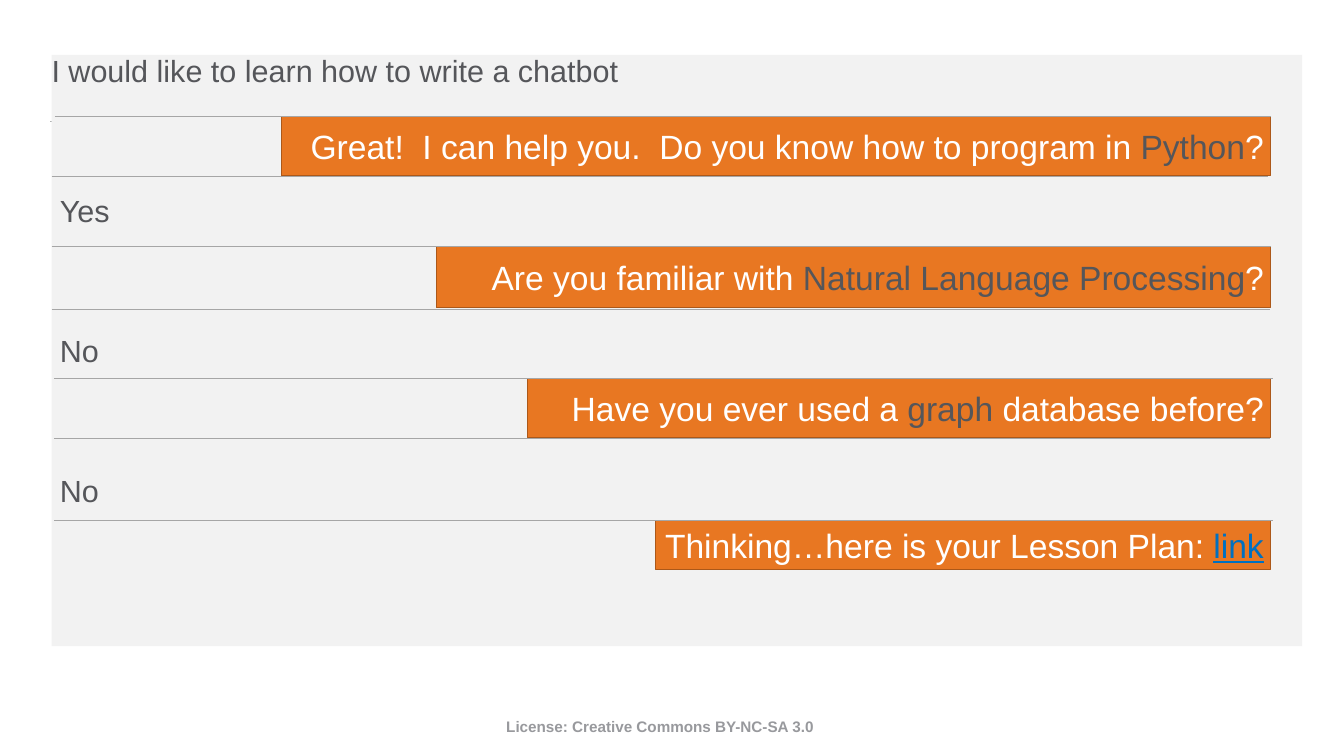
from pptx import Presentation
from pptx.dml.color import RGBColor
from pptx.enum.shapes import MSO_CONNECTOR, MSO_SHAPE
from pptx.enum.text import MSO_ANCHOR, MSO_AUTO_SIZE, PP_ALIGN
from pptx.oxml.ns import qn
from pptx.util import Inches, Pt

LINE, RECT = MSO_CONNECTOR.STRAIGHT, MSO_SHAPE.RECTANGLE
TOP, MIDDLE = MSO_ANCHOR.TOP, MSO_ANCHOR.MIDDLE
LEFT, CENTER, RIGHT = PP_ALIGN.LEFT, PP_ALIGN.CENTER, PP_ALIGN.RIGHT
FIXED = MSO_AUTO_SIZE.NONE

WHITE = RGBColor(0xFF, 0xFF, 0xFF)
PALE = RGBColor(0xF2, 0xF2, 0xF2)
DARK = RGBColor(0x55, 0x56, 0x5A)
ORANGE = RGBColor(0xE8, 0x77, 0x22)
BROWN = RGBColor(0xAC, 0x58, 0x19)
BLUE = RGBColor(0x00, 0x70, 0xC0)
SILVER = RGBColor(0xB1, 0xB3, 0xB3)
GREY = RGBColor(0xA6, 0xA6, 0xA6)
MUTED = RGBColor(0x98, 0x99, 0x9D)

prs = Presentation()
prs.slide_width, prs.slide_height = Inches(19.56), Inches(11)
slide = prs.slides.add_slide(prs.slide_layouts[1])
shapes = slide.shapes
title, body = slide.placeholders
title.element.getparent().remove(title.element)


def add_rule(x1, x2, y, color, width):
    rule = shapes.add_connector(LINE, Inches(x1), Inches(y), Inches(x2), Inches(y))
    rule.line.color.rgb = color
    rule.line.width = Pt(width)
    props = rule.element.spPr
    props.append(props.makeelement(qn("a:effectLst"), {}))


def set_font(para, size, color=None, bold=False):
    font = para.font
    font.name, font.size, font.bold = "Arial", Pt(size), bold
    if color is not None:
        font.color.rgb = color


# Header rule and license line
add_rule(0.73, 18.94, 1.77, SILVER, 1)
footer = shapes.add_textbox(Inches(5.75), Inches(10.39), Inches(7.71), Inches(0.37))
footer.text_frame.word_wrap = True
para = footer.text_frame.paragraphs[0]
para.text = "License: Creative Commons BY-NC-SA 3.0"
para.alignment = CENTER
set_font(para, 16, MUTED, True)

# Panel with the user's messages, in front of the header rule
shapes.element.append(body.element)
body.left, body.top = Inches(0.75), Inches(0.8)
body.width, body.height = Inches(18.2), Inches(8.6)
body.fill.solid()
body.fill.fore_color.rgb = PALE
frame = body.text_frame
frame.word_wrap, frame.auto_size, frame.vertical_anchor = True, FIXED, TOP
frame.margin_left = frame.margin_right = frame.margin_top = frame.margin_bottom = 0
for i, text in enumerate(["I would like to learn how to write a chatbot", "Yes", "No", "No"]):
    para = frame.paragraphs[0] if i == 0 else frame.add_paragraph()
    para.text = text
    props = para._p.get_or_add_pPr()
    props.set("marL", str(Inches(0.12 if i else 0)))
    props.set("indent", "0")
    props.append(props.makeelement(qn("a:buNone"), {}))
    para.alignment = LEFT
    para.line_spacing = 0.95
    para.space_before = Pt(102 if i else 0)
    para.space_after = Pt(8)
    set_font(para, 32, DARK)

# Bot replies: left, top, right, height, runs
replies = [
    (4.09, 1.69, 18.49, 0.87, [("Great!  I can help you.  Do you know how to program in ", WHITE),
                               ("Python", DARK), ("?", WHITE)]),
    (6.35, 3.59, 18.49, 0.89, [("Are you familiar with ", WHITE),
                               ("Natural Language Processing", DARK), ("?", WHITE)]),
    (7.67, 5.51, 18.49, 0.86, [("Have you ever used a ", WHITE),
                               ("graph", DARK), (" database before?", WHITE)]),
    (9.54, 7.57, 18.49, 0.71, [("Thinking…here is your Lesson Plan: ", WHITE), ("link", BLUE)]),
]
for left, top, right, height, runs in replies:
    reply = shapes.add_shape(RECT, Inches(left), Inches(top), Inches(right - left), Inches(height))
    reply.shadow.inherit = False
    reply.fill.solid()
    reply.fill.fore_color.rgb = ORANGE
    reply.line.color.rgb = BROWN
    reply.line.width = Pt(1)
    frame = reply.text_frame
    frame.word_wrap, frame.vertical_anchor = True, MIDDLE
    para = frame.paragraphs[0]
    para.alignment = RIGHT
    set_font(para, 35.2)
    for text, color in runs:
        run = para.add_run()
        run.text = text
        run.font.color.rgb = color
        if color == BLUE:
            run.font.underline = True

# Rules between the messages
for x1, x2, y in [(0.8, 18.5, 1.69), (0.75, 18.46, 2.56), (0.75, 18.5, 3.59), (0.75, 18.48, 4.5),
                  (0.79, 18.52, 5.51), (0.79, 18.48, 6.38), (0.79, 18.52, 7.57)]:
    add_rule(x1, x2, y, GREY, 0.5)

prs.save("out.pptx")
